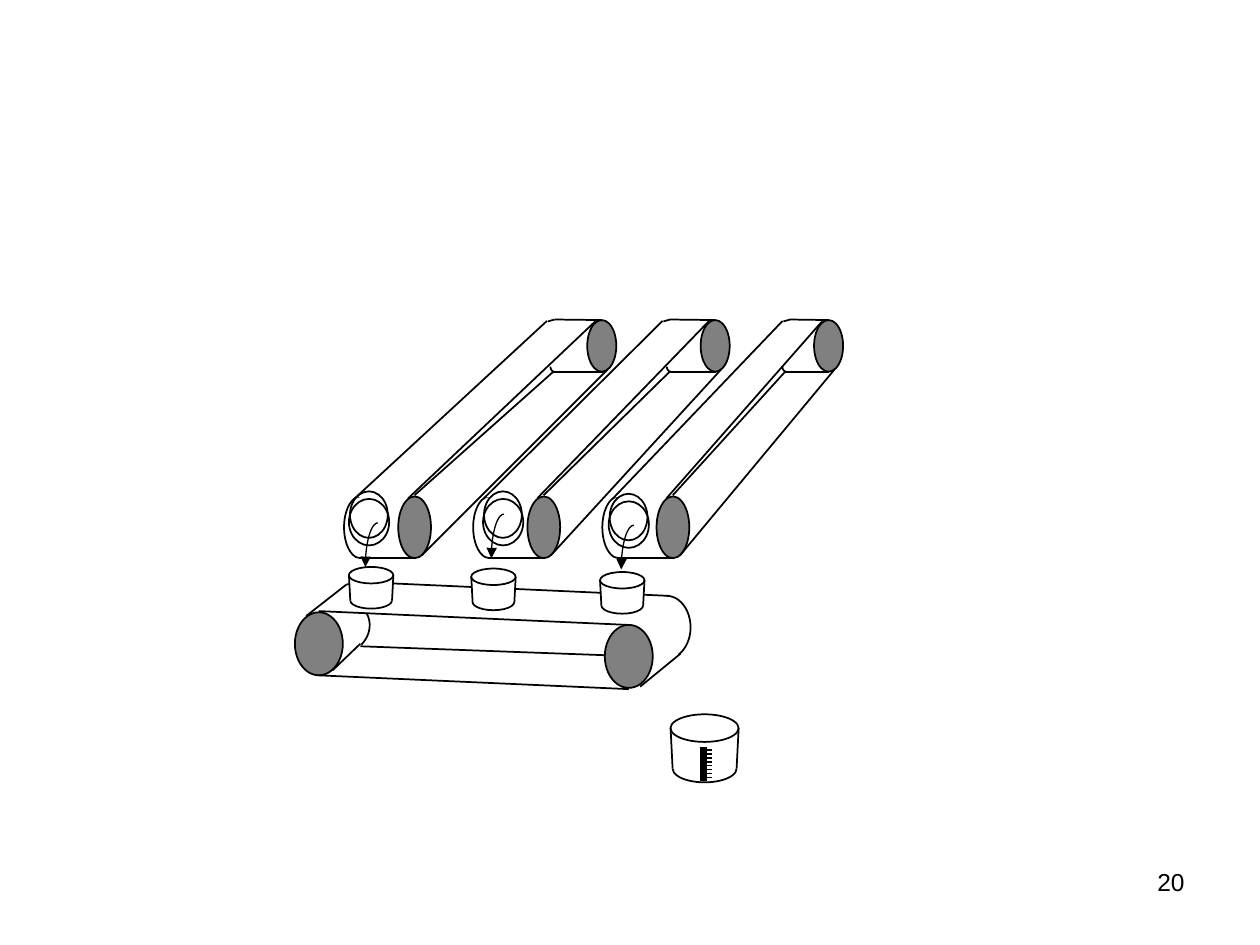
from math import cos, radians, sin

from lxml.etree import SubElement
from pptx import Presentation
from pptx.dml.color import RGBColor
from pptx.enum.shapes import MSO_CONNECTOR as Link, MSO_SHAPE as Preset
from pptx.enum.text import PP_ALIGN as Align
from pptx.oxml.ns import qn
from pptx.util import Pt

BLACK, WHITE, GREY = "000000", "FFFFFF", "808080"


def color(hex_code):
    """Turn a hex string into a colour."""
    return RGBColor.from_string(hex_code)


def add_form(slide, preset, x, y, w, h, fill=None, outlined=True):
    """Add a preset shape with an optional fill and black outline."""
    form = slide.shapes.add_shape(preset, Pt(x), Pt(y), Pt(w), Pt(h))
    form.shadow.inherit = False
    if fill:
        form.fill.solid()
        form.fill.fore_color.rgb = color(fill)
    else:
        form.fill.background()
    if outlined:
        form.line.color.rgb = color(BLACK)
        form.line.width = Pt(1)
    else:
        form.line.fill.background()


def add_oval(slide, x, y, w, h, fill=None):
    """Add an outlined ellipse."""
    add_form(slide, Preset.OVAL, x, y, w, h, fill)


def add_cover(slide, x, y, w, h):
    """Add a white rectangle that hides the edges behind it."""
    add_form(slide, Preset.RECTANGLE, x, y, w, h, WHITE, outlined=False)


def add_edge(slide, x1, y1, x2, y2, width=1):
    """Add a straight black line."""
    edge = slide.shapes.add_connector(Link.STRAIGHT, Pt(x1), Pt(y1), Pt(x2), Pt(y2))
    edge.line.color.rgb = color(BLACK)
    edge.line.width = Pt(width)
    SubElement(edge._element.spPr, qn("a:effectLst"))


def add_edges(slide, x, y, edges):
    """Add several lines given relative to a corner."""
    for x1, y1, x2, y2 in edges:
        add_edge(slide, x + x1, y + y1, x + x2, y + y2)


def add_arc(slide, x, y, rx, ry, start, end, width=1, steps=16):
    """Add an open elliptical arc around a centre, angles clockwise from the right."""
    angles = [radians(start + (end - start) * i / steps) for i in range(steps + 1)]
    points = [(Pt(x + rx * cos(a)), Pt(y + ry * sin(a))) for a in angles]
    builder = slide.shapes.build_freeform(*points[0])
    builder.add_line_segments(points[1:], close=False)
    arc = builder.convert_to_shape()
    arc.shadow.inherit = False
    arc.fill.background()
    arc.line.color.rgb = color(BLACK)
    arc.line.width = Pt(width)
    return arc


def add_conveyor(slide, x, y, far, lid, under):
    """Draw a slanted conveyor whose far parts lie at the given offsets."""
    add_oval(slide, x + 31, y + 100.8, 18.7, 35.3, GREY)
    add_oval(slide, x, y + 100.8, 18.7, 35.3)
    add_cover(slide, x + 9.2, y + 97.9, 16.6, 43.2)
    add_cover(slide, x + 0.9, y + 96.3, 13, 5)
    add_oval(slide, x + far, y, 16.6, 29.5, GREY)
    add_arc(slide, x + under, y + 26.6, 2.2, 2.9, 90, 180)
    add_edges(slide, x, y, [
        (40, 136.1, 8.6, 136.1),
        (36.7, 101.8, far + 4.6, 0.7),
        (5.8, 102.2, lid, 0.5),
        (far + 8, 0, lid + 4.3, -0.3),
        (lid + 0.5, 0.8, lid + 4.3, -0.3),
        (far + 8.8, 29.5, under - 0.7, 29.5),
        (under - 0.7, 29.6, 40.3, 100.1),
        (44.3, 134.6, far + 11.8, 28.1),
    ])


def add_belt(slide, x, y):
    """Draw the lower belt that carries the buckets."""
    add_oval(slide, x, y + 17.3, 27.4, 36, GREY)
    add_oval(slide, x + 198.7, y + 7.9, 27.4, 36)
    add_cover(slide, x + 193.7, y + 2.9, 18.7, 49.7)
    add_oval(slide, x + 177.1, y + 24.5, 27.4, 36, GREY)
    add_cover(slide, x + 208.1, y + 37.4, 10.8, 17.3)
    add_edges(slide, x, y, [
        (6.5, 19.4, 29.5, 1.4),
        (29.5, 1.4, 38.2, 0),
        (213.8, 7.9, 38.2, 0),
        (197.3, 59.8, 220.3, 41),
        (190.8, 61.2, 13, 53.3),
        (37.4, 36.7, 177.1, 41.8),
        (21.6, 50.4, 37.4, 35.3),
    ])
    add_arc(slide, x + 31, y + 18.7, 15.1, 13.7, 0, 90).rotation = 315
    add_cover(slide, x + 35.3, y + 13, 9.4, 5)
    add_edge(slide, x + 190.1, y + 24.5, x + 13.7, y + 16.6)


def add_bucket(slide, x, y, w, h, rim):
    """Draw a bucket that tapers towards its base."""
    taper = 0.03 * w
    add_oval(slide, x + taper, y + h - rim, w - 2 * taper, rim)
    add_cover(slide, x, y + rim / 2, w, h - rim)
    add_oval(slide, x, y, w, rim, WHITE)
    for top, base in ((x, x + taper), (x + w, x + w - taper)):
        add_edge(slide, top, y + rim / 2, base, y + h - rim / 2)


def add_scale(slide, x, y, h):
    """Draw a measuring scale with eight ticks."""
    add_edge(slide, x, y, x, y + h, width=4)
    for i in range(8):
        tick = y + 1.5 + 2.25 * i
        add_edge(slide, x + 0.7, tick, x + 5, tick)


def add_ball(slide, x, y):
    """Draw a ball as two overlapping ellipses."""
    add_oval(slide, x + 0.6, y, 21.6, 26.6)
    add_oval(slide, x, y + 4.3, 23, 26.6)


def add_drop(slide, x, y, w, h):
    """Draw a curved arrow from the top right down to the bottom left."""
    drop = add_arc(slide, x + w, y + h, w, h, 270, 180, width=0.75)
    SubElement(drop._element.spPr.find(qn("a:ln")), qn("a:tailEnd"), type="triangle")


def add_page_number(slide, x, y, w, h):
    """Write the page number at the right of its box."""
    box = slide.shapes.add_textbox(Pt(x), Pt(y), Pt(w), Pt(h))
    box.text_frame.word_wrap = True
    paragraph = box.text_frame.paragraphs[0]
    paragraph.alignment = Align.RIGHT
    run = paragraph.add_run()
    run.text = "20"
    run.font.name = "Arial"
    run.font.size = Pt(14)
    run.font.color.rgb = color(BLACK)


def main():
    """Build the slide and save it."""
    deck = Presentation()
    deck.slide_width, deck.slide_height = Pt(720), Pt(540)
    slide = deck.slides.add_slide(deck.slide_layouts[6])
    add_page_number(slide, 516.2, 491.8, 167.8, 37.4)
    conveyors = [(344.2, 121, 103, 105.1), (270.4, 130, 108.2, 112.9), (196.6, 139, 116, 120.2)]
    for x, far, lid, under in conveyors:
        add_conveyor(slide, x, 182.9, far, lid, under)
    add_belt(slide, 168.5, 332.6)
    for x, y in ((199.4, 324), (269.3, 324.9), (342.9, 326.9)):
        add_bucket(slide, x, y, 25.4, 23.8, 9.4)
    add_bucket(slide, 383.2, 408.2, 38.9, 38.9, 15.8)
    add_scale(slide, 401.8, 427, 19.4)
    for x, y in ((199.4, 280.8), (276, 280.8), (347.8, 282.2)):
        add_ball(slide, x, y)
    for x, y in ((208.8, 298.8), (280.8, 293.8), (355, 300.2)):
        add_drop(slide, x, y, 7.2, 25.2)
    deck.save("out.pptx")


if __name__ == "__main__":
    main()
